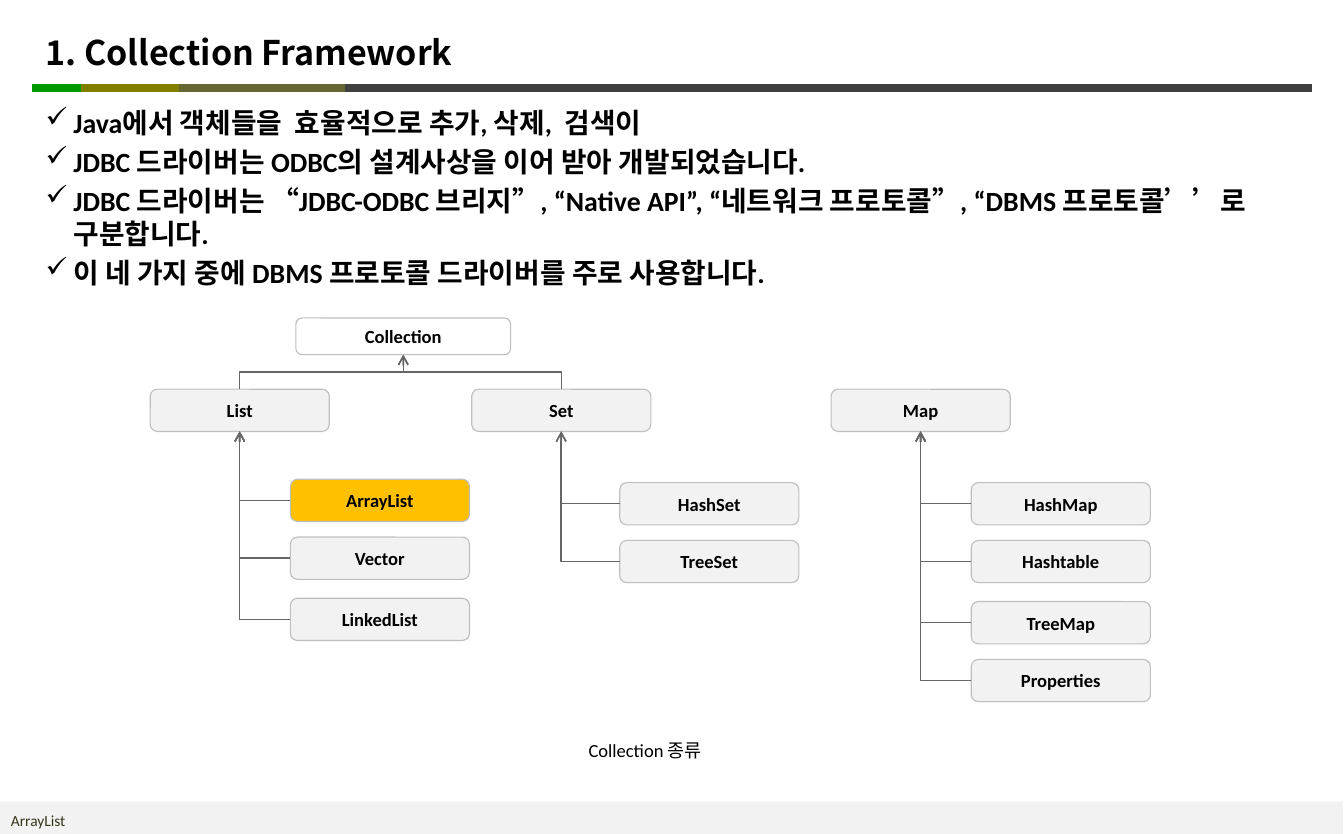
from dataclasses import dataclass

from lxml.etree import SubElement
from pptx import Presentation
from pptx.dml.color import RGBColor
from pptx.enum.shapes import MSO_CONNECTOR as Link, MSO_SHAPE as Preset
from pptx.enum.text import MSO_ANCHOR as Anchor, MSO_AUTO_SIZE as AutoSize, PP_ALIGN as Align
from pptx.oxml.ns import qn
from pptx.shapes.autoshape import Shape
from pptx.shapes.connector import Connector
from pptx.slide import Slide
from pptx.text.text import TextFrame, _Paragraph as Paragraph
from pptx.util import Inches, Pt

COLORS = {
    "black": "000000", "white": "FFFFFF", "panel": "F2F2F2", "highlight": "FFC000",
    "border": "BFBFBF", "link": "666666", "footer": "36351B",
    "charcoal": "404040", "green": "009900", "olive": "808000", "moss": "666633",
}
LATIN_FONT = "Calibri"
KOREAN_FONT = "Noto Sans CJK KR"
NODE_WIDTH, NODE_HEIGHT = 1.61, 0.38
ROW_OFFSETS = (0, 0.52, 1.07, 1.59)
TOP, LEFT, BOTTOM = 0, 1, 2


@dataclass(frozen=True)
class RuleSegment:
    start: float
    end: float
    color: str


@dataclass(frozen=True)
class Node:
    label: str
    left: float
    top: float
    width: float = NODE_WIDTH
    height: float = NODE_HEIGHT
    fill: str = "panel"


@dataclass(frozen=True)
class Family:
    parent: Node
    children_left: float
    children_top: float
    children: tuple[str, ...]


RULE_SEGMENTS = (
    RuleSegment(2.98, 11.79, "charcoal"),
    RuleSegment(0.29, 1.09, "green"),
    RuleSegment(0.73, 1.66, "olive"),
    RuleSegment(1.61, 3.1, "moss"),
)
POINTS = (
    "Java에서 객체들을  효율적으로 추가, 삭제,  검색이",
    "JDBC 드라이버는 ODBC의 설계사상을 이어 받아 개발되었습니다.",
    "JDBC 드라이버는 “JDBC-ODBC 브리지”, “Native API”, “네트워크 프로토콜”, “DBMS 프로토콜’’로 구분합니다.",
    "이 네 가지 중에 DBMS 프로토콜 드라이버를 주로 사용합니다.",
)
COLLECTION = Node("Collection", 2.66, 2.86, 1.93, 0.33, "white")
LIST = Family(Node("List", 1.35, 3.5), 2.61, 4.31, ("ArrayList", "Vector", "LinkedList"))
SET = Family(Node("Set", 4.24, 3.5), 5.57, 4.34, ("HashSet", "TreeSet"))
MAP = Family(Node("Map", 7.47, 3.5), 8.73, 4.34, ("HashMap", "Hashtable", "TreeMap", "Properties"))


def rgb(color: str) -> RGBColor:
    return RGBColor.from_string(COLORS[color])


def add_text(paragraph: Paragraph, text: str, size: float, bold: bool = False,
             color: str = "black", latin: str = LATIN_FONT) -> None:
    run = paragraph.add_run()
    run.text = text
    run.font.name = latin
    run.font.size = Pt(size)
    run.font.bold = bold
    run.font.color.rgb = rgb(color)
    SubElement(run.font._element, qn("a:ea"), typeface=KOREAN_FONT)


def set_insets(frame: TextFrame, side: float, end: float) -> None:
    frame.margin_left = frame.margin_right = Inches(side)
    frame.margin_top = frame.margin_bottom = Inches(end)


def add_frame(slide: Slide, left: float, top: float, width: float, height: float) -> TextFrame:
    area = map(Inches, (left, top, width, height))
    frame = slide.shapes.add_textbox(*area).text_frame
    frame.word_wrap = True
    return frame


def style_link(link: Connector, color: str, width: float) -> None:
    link.line.color.rgb = rgb(color)
    link.line.width = Pt(width)
    SubElement(link._element.spPr, qn("a:effectLst"))


def add_rule_segment(slide: Slide, segment: RuleSegment) -> None:
    height = Inches(0.79)
    line = slide.shapes.add_connector(
        Link.STRAIGHT, Inches(segment.start), height, Inches(segment.end), height)
    style_link(line, segment.color, 5)


def add_node(slide: Slide, node: Node) -> Shape:
    area = map(Inches, (node.left, node.top, node.width, node.height))
    box = slide.shapes.add_shape(Preset.ROUNDED_RECTANGLE, *area)
    box.shadow.inherit = False
    box.fill.solid()
    box.fill.fore_color.rgb = rgb(node.fill)
    box.line.color.rgb = rgb("border")
    box.line.width = Pt(0.75)
    box.text_frame.vertical_anchor = Anchor.MIDDLE
    paragraph = box.text_frame.paragraphs[0]
    paragraph.alignment = Align.CENTER
    add_text(paragraph, node.label, 12, bold=True)
    return box


def add_inheritance(slide: Slide, child: Shape, side: int, parent: Shape) -> Connector:
    link = slide.shapes.add_connector(Link.ELBOW, 0, 0, 0, 0)
    link.begin_connect(child, side)
    link.end_connect(parent, BOTTOM)
    style_link(link, "link", 1)
    SubElement(link.line._get_or_add_ln(), qn("a:tailEnd"), type="arrow")
    return link


def add_leaf_link(slide: Slide, child: Shape, parent: Shape) -> None:
    link = add_inheritance(slide, child, LEFT, parent)
    link._element.spPr.find(qn("a:prstGeom")).set("prst", "bentConnector2")


def add_root_link(slide: Slide, child: Shape, parent: Shape) -> None:
    link = add_inheritance(slide, child, TOP, parent)
    starts_right = link.begin_x > link.end_x
    center_x = link.left + link.width // 2
    center_y = link.top + link.height // 2
    link.width, link.height = link.height, link.width
    link.left = center_x - link.width // 2
    link.top = center_y - link.height // 2
    frame = link._element.spPr.find(qn("a:xfrm"))
    frame.set("rot", "16200000")
    frame.set("flipH", "0")
    frame.set("flipV", str(int(starts_right)))


def add_family(slide: Slide, family: Family) -> Shape:
    parent = add_node(slide, family.parent)
    for label, offset in zip(family.children, ROW_OFFSETS):
        fill = "highlight" if label == "ArrayList" else "panel"
        child = add_node(slide, Node(
            label, family.children_left, family.children_top + offset, fill=fill))
        add_leaf_link(slide, child, parent)
    return parent


def add_title(slide: Slide) -> None:
    title = slide.shapes.title
    title.left, title.top, title.width, title.height = map(Inches, (0.37, 0.15, 10, 0.63))
    frame = title.text_frame
    set_insets(frame, 0.04, 0.04)
    frame.vertical_anchor = Anchor.MIDDLE
    frame.paragraphs[0].alignment = Align.LEFT
    add_text(frame.paragraphs[0], "1. Collection Framework", 22, bold=True, latin=KOREAN_FONT)


def add_points(slide: Slide) -> None:
    frame = add_frame(slide, 0.37, 0.91, 11.34, 1.47)
    set_insets(frame, 0.04, 0.04)
    frame.auto_size = AutoSize.SHAPE_TO_FIT_TEXT
    for index, point in enumerate(POINTS):
        paragraph = frame.add_paragraph() if index else frame.paragraphs[0]
        paragraph.space_before = Pt(3.6)
        add_text(paragraph, point, 18, bold=True)
        properties = paragraph._p.get_or_add_pPr()
        properties.set("marL", str(Inches(0.25)))
        properties.set("indent", str(-Inches(0.25)))
        SubElement(properties, qn("a:buChar"), char="✓")


def add_footer(slide: Slide) -> None:
    band = slide.shapes.add_shape(
        Preset.RECTANGLE, *map(Inches, (0, 7.21, 12.07, 0.29)))
    band.shadow.inherit = False
    band.fill.solid()
    band.fill.fore_color.rgb = rgb("panel")
    band.line.fill.background()
    frame = add_frame(slide, 0, 7.25, 2.42, 0.26)
    frame.vertical_anchor = Anchor.MIDDLE
    frame.paragraphs[0].space_before = Pt(5)
    add_text(frame.paragraphs[0], "ArrayList", 10, color="footer")


def add_caption(slide: Slide) -> None:
    frame = add_frame(slide, 5.25, 6.6, 1.15, 0.3)
    set_insets(frame, 0.04, 0.05)
    frame.word_wrap = False
    frame.auto_size = AutoSize.SHAPE_TO_FIT_TEXT
    add_text(frame.paragraphs[0], "Collection 종류", 12)


def main() -> None:
    deck = Presentation()
    deck.slide_width, deck.slide_height = Inches(12.08), Inches(7.5)
    slide = deck.slides.add_slide(deck.slide_layouts[5])
    add_footer(slide)
    for segment in RULE_SEGMENTS:
        add_rule_segment(slide, segment)
    add_title(slide)
    add_points(slide)
    collection = add_node(slide, COLLECTION)
    for family in (LIST, SET):
        add_root_link(slide, add_family(slide, family), collection)
    add_family(slide, MAP)
    add_caption(slide)
    deck.save("out.pptx")


if __name__ == "__main__":
    main()
